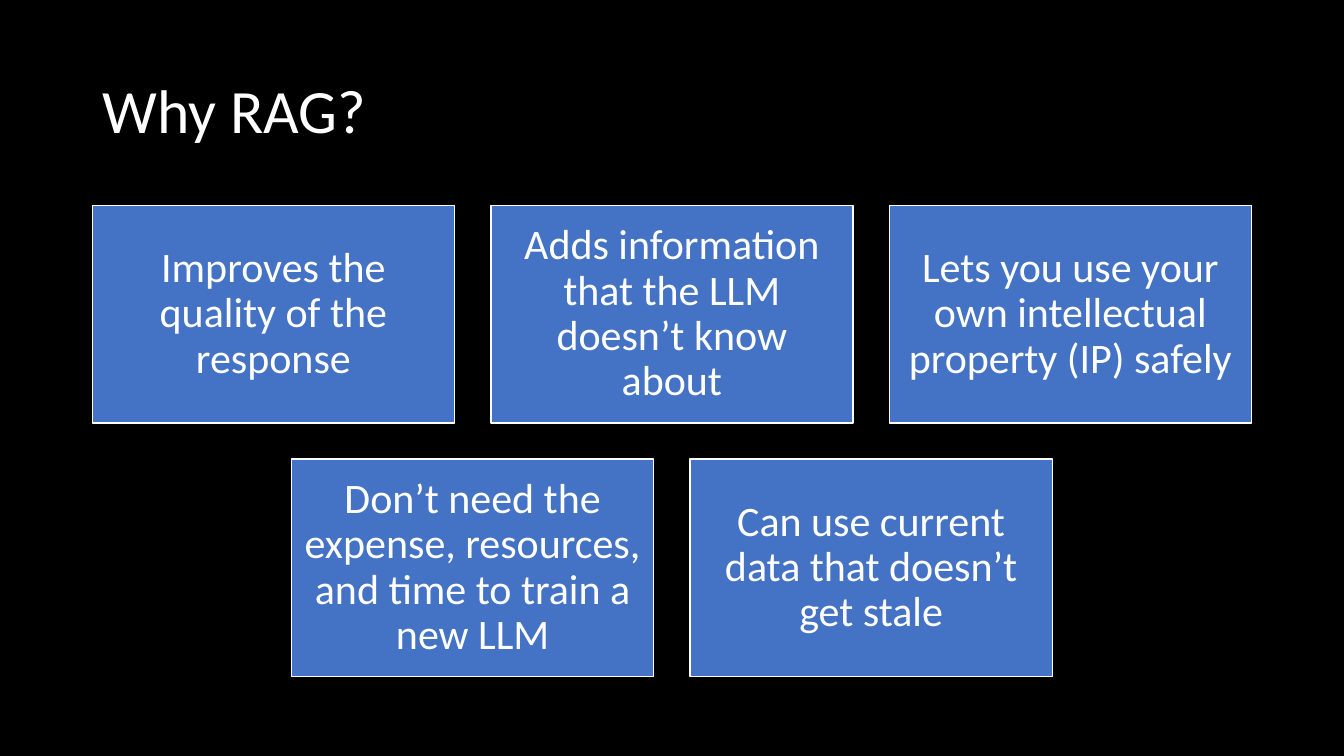
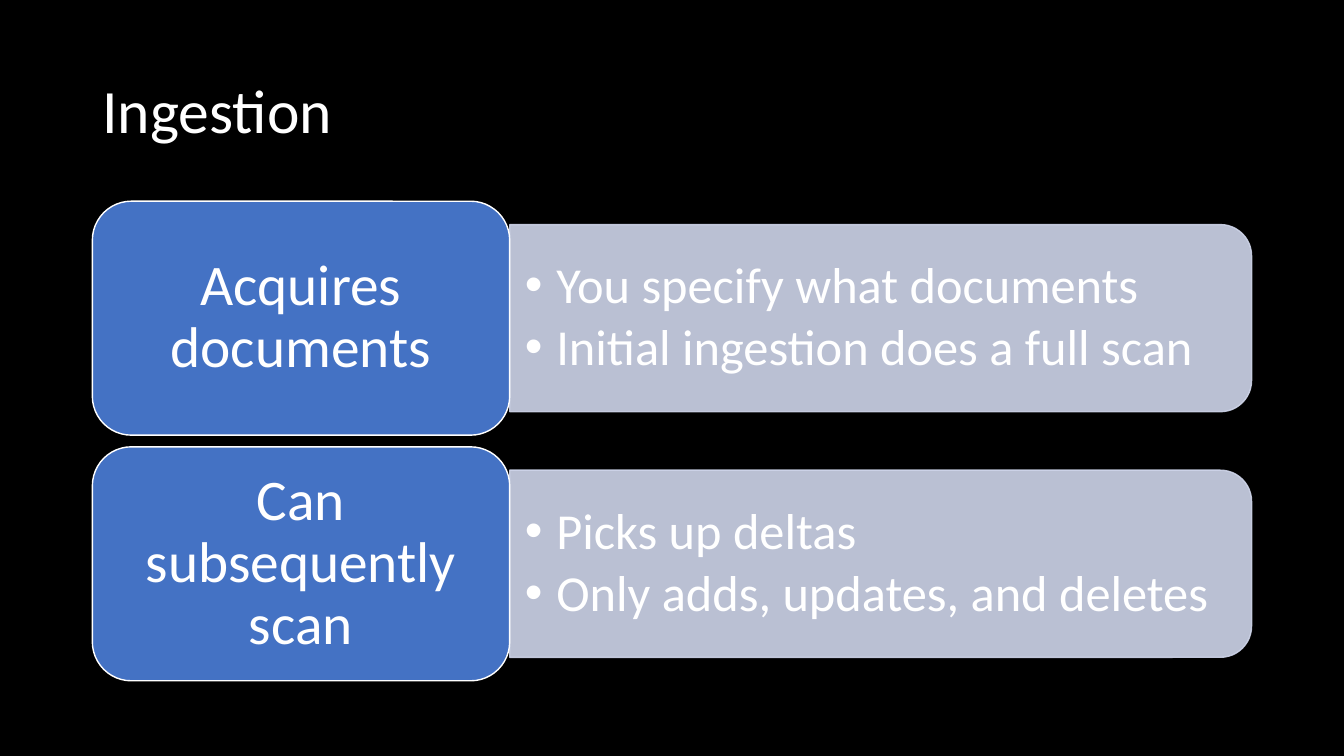
import dataclasses
import typing

import lxml.etree
import pptx
import pptx.dml.color
import pptx.enum.shapes
import pptx.enum.text
import pptx.oxml.ns
import pptx.shapes.autoshape
import pptx.slide
import pptx.text.text
import pptx.util

Pt = pptx.util.Pt
RGBColor = pptx.dml.color.RGBColor
Form = pptx.enum.shapes.MSO_SHAPE
Align = pptx.enum.text.PP_ALIGN

BLACK = RGBColor(0x00, 0x00, 0x00)
WHITE = RGBColor(0xFF, 0xFF, 0xFF)
BLUE = RGBColor(0x44, 0x72, 0xC4)
PALE = RGBColor(0xCF, 0xD5, 0xEA)

FONT = "Calibri"
LEFT = 66
WIDTH = 828
MID = 315


@dataclasses.dataclass(frozen=True)
class Box:
    left: float
    top: float
    width: float
    height: float


@dataclasses.dataclass(frozen=True)
class Style:
    size: float
    align: Align
    side: float
    edge: float
    after: float = 0
    hang: float = 0


@dataclasses.dataclass(frozen=True)
class Step:
    label: str
    points: tuple[str, ...]


HEAD = Box(LEFT, 28.75, WIDTH, 104.4)
TITLE = Style(44, Align.LEFT, 7.2, 3.6)
CARD = Style(30, Align.CENTER, 9, 9)
LABEL = Style(41, Align.CENTER, 12.3, 6.2)
LIST = Style(36, Align.LEFT, 10.8, 5.4, after=5.4, hang=22.5)

REASONS = (
    (
        "Improves the quality of the response",
        "Adds information that the LLM doesn’t know about",
        "Lets you use your own intellectual property (IP) safely",
    ),
    (
        "Don’t need the expense, resources, and time to train a new LLM",
        "Can use current data that doesn’t get stale",
    ),
)
STEPS = (
    Step("Acquires documents",
         ("You specify what documents", "Initial ingestion does a full scan")),
    Step("Can subsequently scan",
         ("Picks up deltas", "Only adds, updates, and deletes")),
)


def apply(item: typing.Any, values: dict[str, typing.Any]) -> None:
    for name, value in values.items():
        setattr(item, name, value)


def place(item: typing.Any, box: Box) -> None:
    apply(item, {name: Pt(size) for name, size in dataclasses.asdict(box).items()})


def write(frame: pptx.text.text.TextFrame, lines: typing.Sequence[str], style: Style) -> None:
    apply(frame, {
        "text": "\n".join(lines),
        "word_wrap": True,
        "auto_size": pptx.enum.text.MSO_AUTO_SIZE.NONE,
        "vertical_anchor": pptx.enum.text.MSO_ANCHOR.MIDDLE,
        "margin_left": Pt(style.side),
        "margin_right": Pt(style.side),
        "margin_top": Pt(style.edge),
        "margin_bottom": Pt(style.edge),
    })
    for para in frame.paragraphs:
        apply(para, {
            "alignment": style.align,
            "line_spacing": 0.9,
            "space_before": Pt(0),
            "space_after": Pt(style.after),
        })
        for run in para.runs:
            apply(run.font, {"name": FONT, "size": Pt(style.size)})
            run.font.color.rgb = WHITE
        if style.hang:
            props = para._p.get_or_add_pPr()
            props.set("marL", str(Pt(style.hang)))
            props.set("indent", str(-Pt(style.hang)))


def draw(page: pptx.slide.Slide, form: Form, box: Box, fill: RGBColor,
         line: RGBColor) -> pptx.shapes.autoshape.Shape:
    shape = page.shapes.add_shape(form, 0, 0, 0, 0)
    place(shape, box)
    shape.shadow.inherit = False
    shape.fill.solid()
    shape.fill.fore_color.rgb = fill
    shape.line.color.rgb = line
    shape.line.width = Pt(1)
    return shape


def fade(shape: pptx.shapes.autoshape.Shape, share: int) -> None:
    qn = pptx.oxml.ns.qn
    for color in shape.element.spPr.iter(qn("a:srgbClr")):
        lxml.etree.SubElement(color, qn("a:alpha")).set("val", str(share * 1000))


def start(deck: typing.Any, layout: int, title: str) -> pptx.slide.Slide:
    page = deck.slides.add_slide(deck.slide_layouts[layout])
    place(page.shapes.title, HEAD)
    write(page.shapes.title.text_frame, [title], TITLE)
    return page


def reasons(deck: typing.Any) -> None:
    page = start(deck, 5, "Why RAG?")
    wide = WIDTH / 3.2
    high = wide * 0.6
    gap = wide * 0.1
    top = MID - high - gap / 2
    for row, texts in enumerate(REASONS):
        span = len(texts) * (wide + gap) - gap
        left = LEFT + (WIDTH - span) / 2
        for col, text in enumerate(texts):
            box = Box(left + col * (wide + gap), top + row * (high + gap), wide, high)
            card = draw(page, Form.RECTANGLE, box, BLUE, WHITE)
            write(card.text_frame, [text], CARD)


def steps(deck: typing.Any) -> None:
    page = start(deck, 3, "Ingestion")
    high = 167.1
    gap = high * 0.05
    wide = WIDTH * 0.36
    long = WIDTH - wide
    deep = high * 0.8
    edge = LEFT + wide
    top = MID - high - gap / 2
    for row, step in enumerate(STEPS):
        y = top + row * (high + gap)
        mid = y + high / 2
        turn = Box(edge + (long - deep) / 2, mid - long / 2, deep, long)
        panel = draw(page, Form.ROUND_2_SAME_RECTANGLE, turn, PALE, PALE)
        panel.rotation = 90
        fade(panel, 90)
        body = page.placeholders[row + 1]
        place(body, Box(edge, mid - 60.5, 523.4, 121))
        write(body.text_frame, step.points, LIST)
        body.element.addprevious(panel.element)
        label = draw(page, Form.ROUNDED_RECTANGLE, Box(LEFT, y, wide, high), BLUE, WHITE)
        write(label.text_frame, [step.label], LABEL)


def main() -> None:
    deck = pptx.Presentation()
    apply(deck, {"slide_width": Pt(960), "slide_height": Pt(540)})
    fill = deck.slide_master.background.fill
    fill.solid()
    fill.fore_color.rgb = BLACK
    reasons(deck)
    steps(deck)
    deck.save("out.pptx")


if __name__ == "__main__":
    main()
